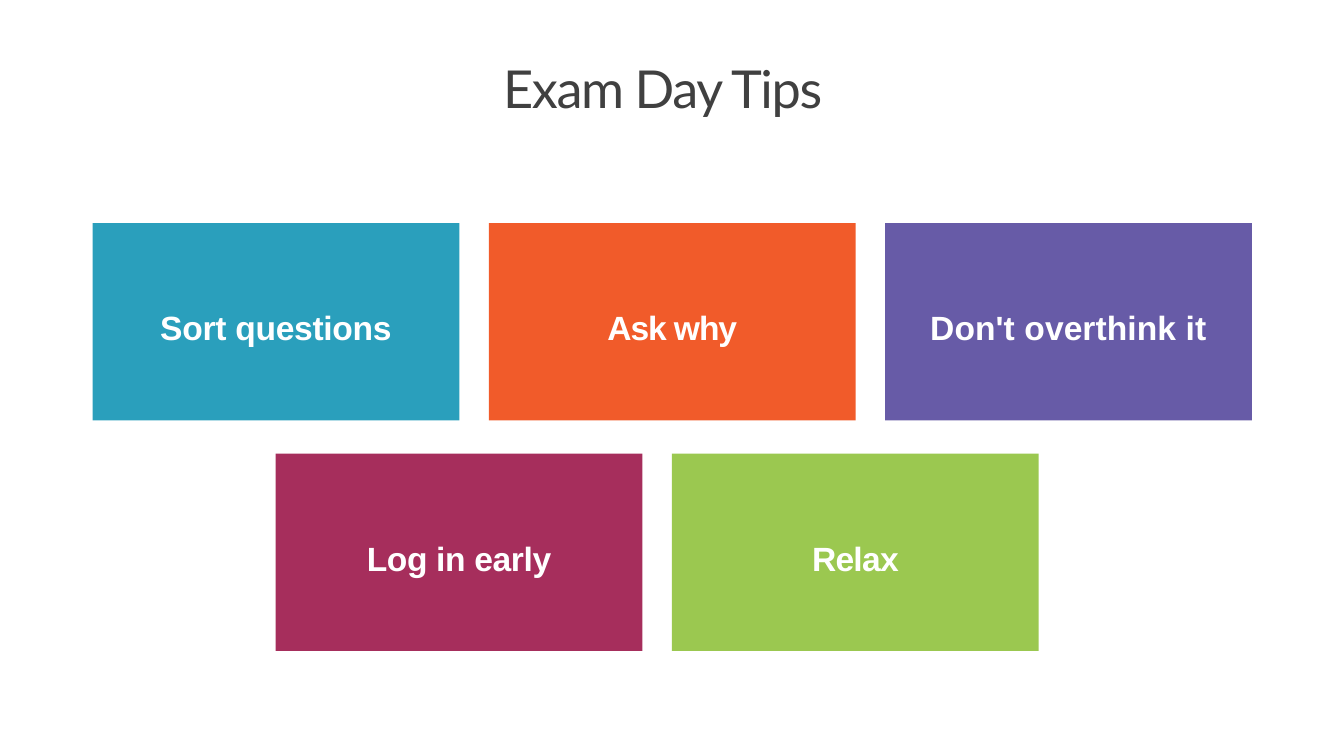
import dataclasses

import pptx
import pptx.dml.color
import pptx.enum.shapes
import pptx.enum.text
import pptx.util

Pt = pptx.util.Pt
Align = pptx.enum.text.PP_ALIGN


@dataclasses.dataclass(frozen=True)
class Theme:
    teal: str = "2A9FBC"
    orange: str = "F15B2A"
    purple: str = "675BA7"
    berry: str = "A62E5C"
    green: str = "9BC850"
    title_color: str = "404040"
    card_text: str = "FFFFFF"
    title_font: str = "Lato"
    card_font: str = "Arial"
    title_size: float = 56
    card_size: float = 36


def rgb(value):
    return pptx.dml.color.RGBColor.from_string(value)


def write_text(shape, text, *, font, size, color, bold=False,
               align=Align.LEFT, tracking=0, top=0):
    """Put one line in a shape; tracking is letter spacing in points."""
    frame = shape.text_frame
    frame.word_wrap = True
    frame.vertical_anchor = pptx.enum.text.MSO_ANCHOR.TOP
    frame.margin_left = frame.margin_right = frame.margin_bottom = 0
    frame.margin_top = Pt(top)
    paragraph = frame.paragraphs[0]
    paragraph.alignment = align
    run = paragraph.add_run()
    run.text = text
    run.font.name = font
    run.font.size = Pt(size)
    run.font.bold = bold
    run.font.color.rgb = rgb(color)
    run._r.get_or_add_rPr().set("spc", str(round(tracking * 100)))


class SlideBuilder:
    def __init__(self, slide, theme):
        self.slide = slide
        self.theme = theme

    def title(self, text, left, top, width, height):
        box = self.slide.shapes.add_textbox(
            Pt(left), Pt(top), Pt(width), Pt(height))
        write_text(box, text, font=self.theme.title_font,
                   size=self.theme.title_size, color=self.theme.title_color,
                   tracking=-1.5, top=1.5)

    def card(self, text, fill, left, top, width, height, tracking):
        card = self.slide.shapes.add_shape(
            pptx.enum.shapes.MSO_SHAPE.RECTANGLE,
            Pt(left), Pt(top), Pt(width), Pt(height))
        card.shadow.inherit = False
        card.fill.solid()
        card.fill.fore_color.rgb = rgb(fill)
        card.line.fill.background()
        write_text(card, text, font=self.theme.card_font,
                   size=self.theme.card_size, color=self.theme.card_text,
                   bold=True, align=Align.CENTER, tracking=tracking, top=90)


def main():
    presentation = pptx.Presentation()
    presentation.slide_width = Pt(1440)
    presentation.slide_height = Pt(810)
    theme = Theme()
    builder = SlideBuilder(
        presentation.slides.add_slide(presentation.slide_layouts[6]), theme)

    # Heading
    builder.title("Exam Day Tips", 539, 59, 362, 69)

    # Tip cards: start of each row, then text, fill and letter spacing
    card_width, card_height, gap = 393, 211.5, 31.6
    rows = [
        (99.2, 239, [("Sort questions", theme.teal, -0.3),
                     ("Ask why", theme.orange, -1.2),
                     ("Don't overthink it", theme.purple, 0.1)]),
        (295.4, 486, [("Log in early", theme.berry, -0.4),
                      ("Relax", theme.green, -0.8)]),
    ]
    for row_left, top, tips in rows:
        for column, (text, fill, tracking) in enumerate(tips):
            left = row_left + column * (card_width + gap)
            builder.card(text, fill, left, top, card_width, card_height,
                         tracking)

    presentation.save("out.pptx")


if __name__ == "__main__":
    main()
